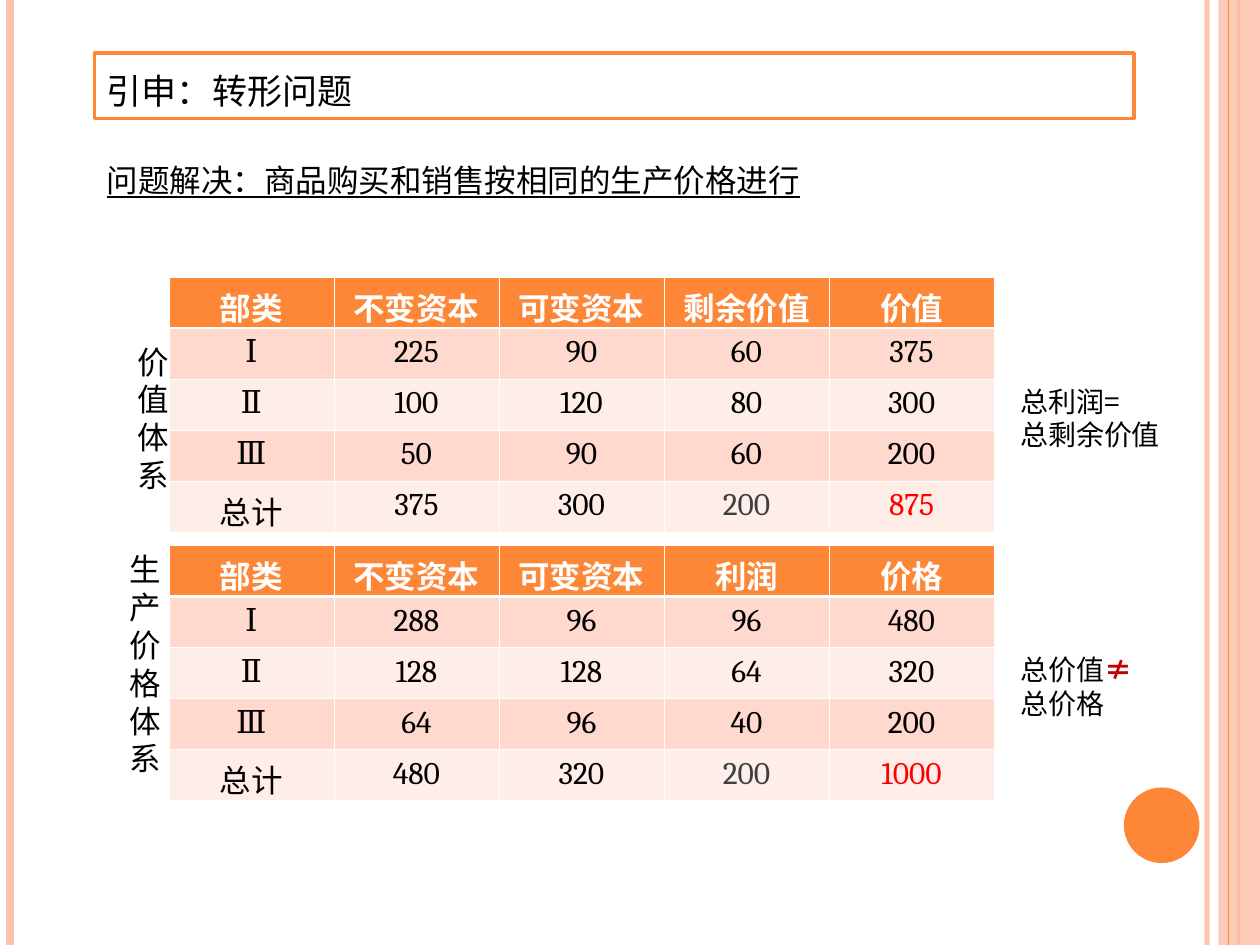
from pptx import Presentation
from pptx.dml.color import RGBColor
from pptx.enum.shapes import MSO_CONNECTOR, MSO_SHAPE
from pptx.enum.text import PP_ALIGN
from pptx.oxml.ns import qn
from pptx.util import Inches, Pt
from lxml.etree import SubElement

COLORS = {
    "accent": "FE8637", "stripe": "FEC3AE", "band": "FFD9CE", "pale": "FFEDE8",
    "white": "FFFFFF", "black": "000000", "gray": "3C3E42", "red": "FF0000",
    "dark_red": "C00000",
}
WIDTH, HEIGHT = 10, 7.5
MARGIN, CONTENT_WIDTH = 0.75, 8.25
TABLE_LEFT, COLUMN_WIDTH, ROW_HEIGHT = 1.34, 1.31, 0.405
VALUE_TOP, PRICE_TOP = 2.2, 4.33
CJK_FONT = "Noto Sans CJK SC"

VALUE_ROWS = [
    ["部类", "不变资本", "可变资本", "剩余价值", "价值"],
    ["Ⅰ", "225", "90", "60", "375"],
    ["Ⅱ", "100", "120", "80", "300"],
    ["Ⅲ", "50", "90", "60", "200"],
    ["总计", "375", "300", "200", "875"],
]
PRICE_ROWS = [
    ["部类", "不变资本", "可变资本", "利润", "价格"],
    ["Ⅰ", "288", "96", "96", "480"],
    ["Ⅱ", "128", "128", "64", "320"],
    ["Ⅲ", "64", "96", "40", "200"],
    ["总计", "480", "320", "200", "1000"],
]


def color(name):
    return RGBColor.from_string(COLORS[name])


def set_alpha(fill, percent):
    fill.fore_color.rgb = color("stripe")
    element = fill._xPr.find(qn("a:solidFill"))[0]
    SubElement(element, qn("a:alpha"), val=str(percent * 1000))


def format_run(run, size, font=CJK_FONT, tint="black", bold=False, underline=False):
    run.font.size = Pt(size)
    run.font.name = font
    run.font.bold = bold
    run.font.underline = underline
    run.font.color.rgb = color(tint)
    east_asian = run._r.get_or_add_rPr().find(qn("a:latin"))
    element = east_asian.makeelement(qn("a:ea"), {"typeface": CJK_FONT})
    east_asian.addnext(element)


def add_stripe(slide, x, width, tint="stripe", alpha=None):
    line = slide.shapes.add_connector(
        MSO_CONNECTOR.STRAIGHT, Inches(x), 0, Inches(x), Inches(HEIGHT))
    line.line.width = Pt(width)
    line.line.color.rgb = color(tint)
    if alpha:
        set_alpha(line.line.fill, alpha)
    SubElement(line._element.spPr, qn("a:effectLst"))


def add_plain_shape(slide, kind, box, tint, outline=None):
    shape = slide.shapes.add_shape(kind, *map(Inches, box))
    shape.shadow.inherit = False
    shape.fill.solid()
    shape.fill.fore_color.rgb = color(tint)
    if outline:
        shape.line.color.rgb = color(outline)
        shape.line.width = Pt(2)
    else:
        shape.line.fill.background()
    return shape


def add_text_box(slide, box):
    shape = slide.shapes.add_textbox(*map(Inches, box))
    shape.text_frame.word_wrap = True
    return shape


def set_heading(shape, text, size, font, underline=False):
    shape.text_frame.text = text
    paragraph = shape.text_frame.paragraphs[0]
    paragraph.alignment = PP_ALIGN.LEFT
    paragraph.line_spacing = Pt(30)
    paragraph.space_before = paragraph.space_after = Pt(6)
    format_run(paragraph.runs[0], size, font, underline=underline)


def add_side_label(slide, box, text):
    frame = add_text_box(slide, box).text_frame
    frame.text = text
    paragraph = frame.paragraphs[0]
    paragraph.alignment = PP_ALIGN.CENTER
    paragraph.line_spacing = Pt(18 * 1.2)
    format_run(paragraph.runs[0], 18)


def add_notes_column(slide, box):
    size, pitch = 16, 16 * 1.2
    frame = add_text_box(slide, box).text_frame
    frame.text = "总利润=\n总剩余价值\n总价值\n总价格"
    unequal = frame.paragraphs[2].add_run()
    unequal.text = "≠"
    for paragraph in frame.paragraphs:
        paragraph.line_spacing = Pt(pitch)
        for run in paragraph.runs:
            format_run(run, size)
    unequal.font.bold = True
    unequal.font.color.rgb = color("dark_red")
    # The second note sits six lines below the first
    frame.paragraphs[2].space_before = Pt(6 * pitch)


def set_borders(cell, row):
    properties = cell._tc.get_or_add_tcPr()
    heavy = {0: "lnB", 1: "lnT"}.get(row)
    for position, side in enumerate(("lnL", "lnR", "lnT", "lnB")):
        width = Pt(1.47 if side == heavy else 0.45)
        line = properties.makeelement(qn("a:" + side), {"w": str(int(width))})
        SubElement(SubElement(line, qn("a:solidFill")), qn("a:srgbClr"),
                   val=COLORS["white"])
        properties.insert(position, line)


def cell_tint(row, column, last_row):
    if row == 0:
        return "white"
    if row == last_row:
        return {3: "gray", 4: "red"}.get(column, "black")
    return "black"


def add_capital_table(slide, top, rows):
    count, columns = len(rows), len(rows[0])
    table = slide.shapes.add_table(
        count, columns, Inches(TABLE_LEFT), Inches(top),
        Inches(columns * COLUMN_WIDTH), Inches(count * ROW_HEIGHT)).table
    for row, values in enumerate(rows):
        table.rows[row].height = Inches(ROW_HEIGHT)
        background = "accent" if row == 0 else "band" if row % 2 else "pale"
        for column, value in enumerate(values):
            cell = table.cell(row, column)
            cell.fill.solid()
            cell.fill.fore_color.rgb = color(background)
            set_borders(cell, row)
            cell.text_frame.text = value
            paragraph = cell.text_frame.paragraphs[0]
            paragraph.alignment = PP_ALIGN.CENTER
            format_run(paragraph.runs[0], 18, "Cambria",
                       cell_tint(row, column, count - 1), bold=row == 0)


def add_decoration(slide):
    add_stripe(slide, 9.58, 3, alpha=93)
    add_stripe(slide, 0.08, 4.5)
    add_stripe(slide, 9.83, 1.5, "accent")
    band = add_plain_shape(slide, MSO_SHAPE.RECTANGLE,
                           (9.67, 0, WIDTH - 9.67, HEIGHT), "stripe")
    set_alpha(band.fill, 87)
    add_stripe(slide, 9.75, 0.75, "accent")
    add_plain_shape(slide, MSO_SHAPE.OVAL, (8.92, 6.25, 0.6, 0.6), "accent")


def main():
    presentation = Presentation()
    presentation.slide_width, presentation.slide_height = Inches(WIDTH), Inches(HEIGHT)
    slide = presentation.slides.add_slide(presentation.slide_layouts[6])
    add_decoration(slide)

    # Headings
    title = add_plain_shape(slide, MSO_SHAPE.RECTANGLE,
                            (MARGIN, 0.42, CONTENT_WIDTH, 0.52), "white", "accent")
    set_heading(title, "引申：转形问题", 20, "Cambria")
    subtitle = add_text_box(slide, (MARGIN, 1.11, CONTENT_WIDTH, 0.52))
    set_heading(subtitle, "问题解决：商品购买和销售按相同的生产价格进行", 18,
                "Times New Roman", underline=True)

    # Tables with their notes and side labels
    add_capital_table(slide, VALUE_TOP, VALUE_ROWS)
    add_capital_table(slide, PRICE_TOP, PRICE_ROWS)
    add_notes_column(slide, (8, 3, 1.5, 2.77))
    add_side_label(slide, (0.99, 2.67, 0.37, 1.3), "价值体系")
    add_side_label(slide, (0.87, 4.32, 0.56, 1.9), "生产价格体系")
    presentation.save("out.pptx")


if __name__ == "__main__":
    main()
